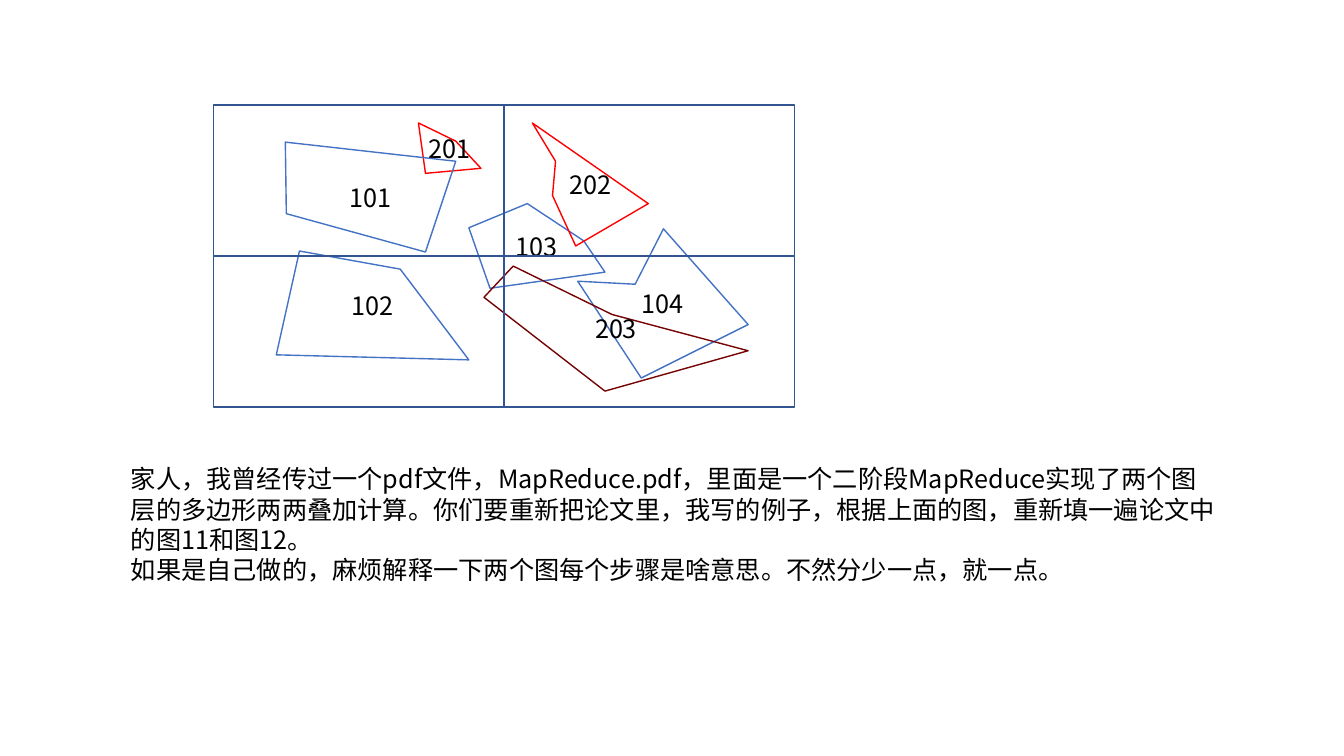
from dataclasses import dataclass

from pptx import Presentation
from pptx.dml.color import RGBColor
from pptx.enum.shapes import MSO_SHAPE
from pptx.enum.text import MSO_ANCHOR, MSO_AUTO_SIZE, PP_ALIGN
from pptx.oxml.ns import qn
from pptx.util import Inches, Pt


@dataclass(frozen=True)
class Theme:
    """Colours, font and sizes of the slide."""
    font: str = "Noto Sans CJK SC"
    size: int = 18
    line_width: int = 1
    text: str = "000000"
    paper: str = "FFFFFF"
    blue: str = "4472C4"
    red: str = "FF0000"
    dark_red: str = "760303"
    grid: str = "325491"


THEME = Theme()

POLYGONS = [
    ("201", THEME.red, True, [(2.03, 0.18), (2.1, 0.68), (2.65, 0.63), (2.4, 0.36)]),
    ("103", THEME.blue, True, [(2.53, 1.22), (2.74, 1.82), (3.88, 1.66), (3.67, 1.35), (3.11, 0.98)]),
    ("102", THEME.blue, True, [(0.85, 1.45), (0.62, 2.48), (2.53, 2.53), (1.85, 1.63)]),
    ("104", THEME.blue, True, [(3.61, 1.75), (4.24, 2.71), (5.3, 2.18), (4.46, 1.23), (4.18, 1.78)]),
    ("202", THEME.red, False, [(3.16, 0.18), (4.31, 0.98), (3.59, 1.4), (3.36, 0.9), (3.39, 0.56)]),
    ("101", THEME.blue, False, [(0.71, 0.37), (2.4, 0.56), (2.1, 1.46), (0.72, 1.08)]),
    ("203", THEME.dark_red, False, [(2.68, 1.91), (3.88, 2.84), (5.3, 2.44), (3.95, 2.08), (2.97, 1.6)]),
]

TASK = [
    "家人，我曾经传过一个pdf文件，MapReduce.pdf，里面是一个二阶段MapReduce实现了两个图层的多边形两两叠加计算。"
    "你们要重新把论文里，我写的例子，根据上面的图，重新填一遍论文中的图11和图12。",
    "如果是自己做的，麻烦解释一下两个图每个步骤是啥意思。不然分少一点，就一点。",
]


def write(frame, lines, align=PP_ALIGN.LEFT, anchor=MSO_ANCHOR.TOP, margin=0.1):
    """Fill a text frame with one paragraph per line."""
    frame.word_wrap = True
    frame.vertical_anchor = anchor
    frame.margin_left = frame.margin_right = Inches(margin)
    for number, line in enumerate(lines):
        paragraph = frame.add_paragraph() if number else frame.paragraphs[0]
        paragraph.alignment = align
        run = paragraph.add_run()
        run.text = line
        run.font.name = THEME.font
        run.font.size = Pt(THEME.size)
        run.font.color.rgb = RGBColor.from_string(THEME.text)
        east_asian = run.font._element.makeelement(qn("a:ea"), {"typeface": THEME.font})
        run.font._element.find(qn("a:latin")).addnext(east_asian)


def outline(shape, color, filled=False):
    """Give a shape a thin line and a white or empty inside."""
    shape.shadow.inherit = False
    shape.line.color.rgb = RGBColor.from_string(color)
    shape.line.width = Pt(THEME.line_width)
    if filled:
        shape.fill.solid()
        shape.fill.fore_color.rgb = RGBColor.from_string(THEME.paper)
    else:
        shape.fill.background()


def add_polygon(slide, left, top, label, color, filled, points):
    """Draw a labelled polygon, its points measured from the map corner."""
    start, *others = [(Inches(left + x), Inches(top + y)) for x, y in points]
    builder = slide.shapes.build_freeform(*start)
    builder.add_line_segments(others, close=True)
    polygon = builder.convert_to_shape()
    outline(polygon, color, filled)
    write(polygon.text_frame, [label], align=PP_ALIGN.CENTER, anchor=MSO_ANCHOR.MIDDLE, margin=0)


def add_map(slide, left, top, width, height):
    """Draw the polygons under a two by two grid of cells."""
    for polygon in POLYGONS:
        add_polygon(slide, left, top, *polygon)
    cell_width, cell_height = width / 2, height / 2
    for row in range(2):
        for column in range(2):
            cell = slide.shapes.add_shape(
                MSO_SHAPE.RECTANGLE,
                Inches(left + column * cell_width), Inches(top + row * cell_height),
                Inches(cell_width), Inches(cell_height))
            outline(cell, THEME.grid)


def add_task(slide, left, top, width, height):
    """Place the task text in its box."""
    task = slide.shapes.add_textbox(Inches(left), Inches(top), Inches(width), Inches(height))
    write(task.text_frame, TASK)
    task.text_frame.auto_size = MSO_AUTO_SIZE.SHAPE_TO_FIT_TEXT


def main():
    """Build and save the slide."""
    deck = Presentation()
    deck.slide_width, deck.slide_height = Inches(13.33), Inches(7.5)
    slide = deck.slides.add_slide(deck.slide_layouts[6])
    add_map(slide, 2.12, 1.04, 5.76, 3)
    add_task(slide, 1.2, 4.55, 10.99, 1.31)
    deck.save("out.pptx")


if __name__ == "__main__":
    main()
